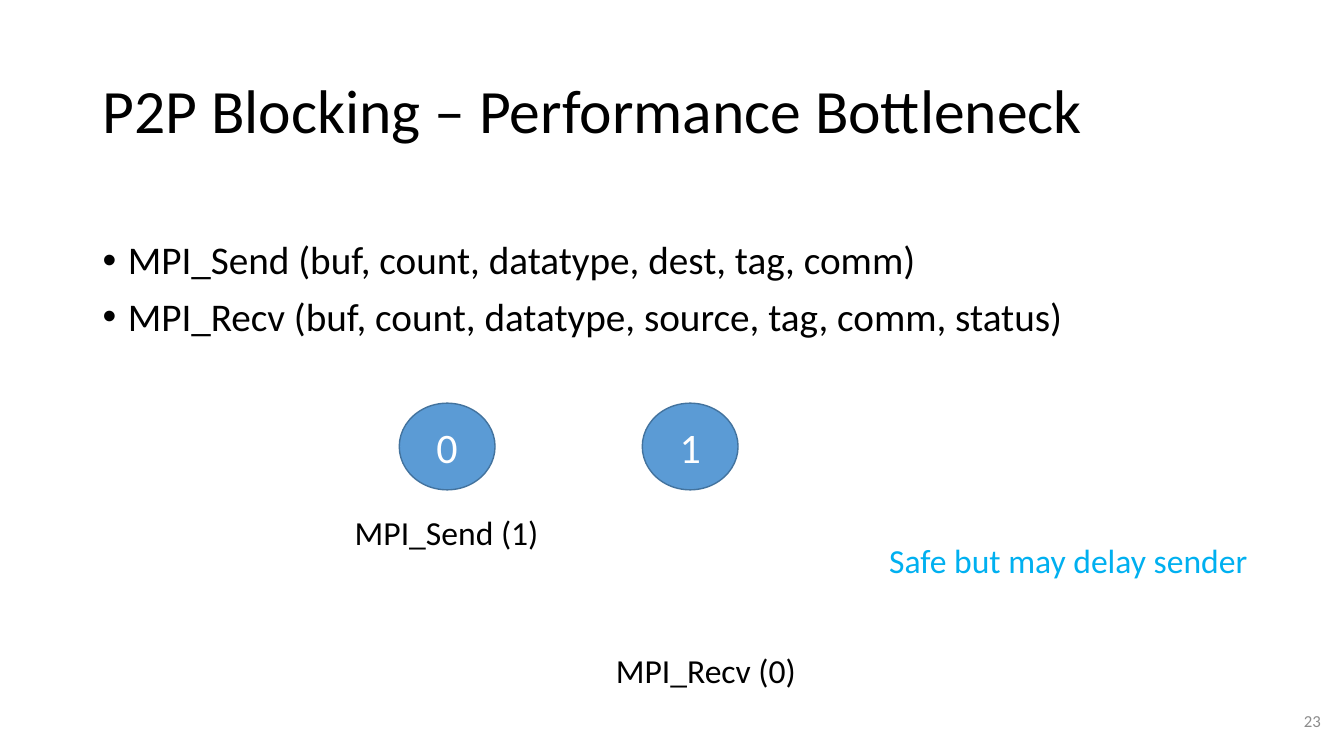
from lxml import etree
from pptx import Presentation
from pptx import util as u
from pptx.dml.color import RGBColor
from pptx.enum import shapes, text
from pptx.oxml.ns import qn

# Content; boxes are (left, top, width, height) in px
SLIDE_SIZE = (1333, 750)
TITLE = ("P2P Blocking – Performance Bottleneck", (92, 40, 1150, 145))
SIGNATURES = [
    "MPI_Send (buf, count, datatype, dest, tag, comm)",
    "MPI_Recv (buf, count, datatype, source, tag, comm, status)",
]
SIGNATURES_BOX = (92, 234, 1150, 128)
RANKS = ["0", "1"]
FIRST_RANK_BOX = (396, 400, 95, 86)
RANK_STEP = 241
LABELS = [
    ("MPI_Send (1)", (342, 503, 204, 50), "ink"),
    ("MPI_Recv (0)", (601, 640, 200, 50), "ink"),
    ("Safe but may delay sender", (872, 531, 379, 50), "accent"),
]
PAGE_NUMBER = ("23", (1020, 695, 300, 40))

THEME = {
    "font": "Calibri",
    "colors": {"ink": "000000", "accent": "00B0F0", "page": "8C8C8C",
               "rank": "5B9BD5", "outline": "43739E", "inverse": "FFFFFF"},
    "sizes": {"title": 44, "body": 28, "rank": 30, "label": 24, "page": 12},
}
PX = 9144  # EMU per px, 100 px to the inch
BULLET_INDENT = 25


def emu(box):
    return [u.Emu(length * PX) for length in box]


def color(name):
    return RGBColor.from_string(THEME["colors"][name])


def add_bullet(paragraph):
    properties = paragraph._p.get_or_add_pPr()
    properties.set("marL", str(BULLET_INDENT * PX))
    properties.set("indent", str(-BULLET_INDENT * PX))
    etree.SubElement(properties, qn("a:buFont"), typeface="Arial")
    etree.SubElement(properties, qn("a:buChar"), char="•")


def write(shape, lines, size, ink="ink", align="LEFT", anchor="TOP",
          wrap=True, grow=False, line_spacing=None, space_before=None, bullet=False):
    frame = shape.text_frame
    frame.word_wrap = wrap
    frame.vertical_anchor = text.MSO_ANCHOR[anchor]
    if grow:
        frame.auto_size = text.MSO_AUTO_SIZE.SHAPE_TO_FIT_TEXT
    for index, line in enumerate(lines):
        paragraph = frame.add_paragraph() if index else frame.paragraphs[0]
        paragraph.alignment = text.PP_ALIGN[align]
        if line_spacing:
            paragraph.line_spacing = line_spacing
        if space_before:
            paragraph.space_before = u.Pt(space_before)
        if bullet:
            add_bullet(paragraph)
        run = paragraph.add_run()
        run.text = line
        run.font.name = THEME["font"]
        run.font.size = u.Pt(THEME["sizes"][size])
        run.font.color.rgb = color(ink)


def add_text(slide, box, lines, size, **style):
    write(slide.shapes.add_textbox(*emu(box)), lines, size, **style)


def add_rank(slide, box, number):
    shape = slide.shapes.add_shape(shapes.MSO_SHAPE.OVAL, *emu(box))
    shape.shadow.inherit = False
    shape.fill.solid()
    shape.fill.fore_color.rgb = color("rank")
    shape.line.color.rgb = color("outline")
    shape.line.width = u.Pt(1)
    write(shape, [number], "rank", ink="inverse", align="CENTER", anchor="MIDDLE")


def main():
    presentation = Presentation()
    presentation.slide_width, presentation.slide_height = emu(SLIDE_SIZE)
    slide = presentation.slides.add_slide(presentation.slide_layouts[6])

    # Title and function signatures
    title, title_box = TITLE
    add_text(slide, title_box, [title], "title", anchor="MIDDLE", line_spacing=0.9)
    add_text(slide, SIGNATURES_BOX, SIGNATURES, "body",
             line_spacing=0.9, space_before=10, bullet=True)

    # Process ranks
    left, top, width, height = FIRST_RANK_BOX
    for index, number in enumerate(RANKS):
        add_rank(slide, (left + index * RANK_STEP, top, width, height), number)

    # Calls and remark
    for label, box, ink in LABELS:
        add_text(slide, box, [label], "label", ink=ink, wrap=False, grow=True)

    # Page number
    number, number_box = PAGE_NUMBER
    add_text(slide, number_box, [number], "page", ink="page",
             align="RIGHT", anchor="MIDDLE")

    presentation.save("out.pptx")


if __name__ == "__main__":
    main()
